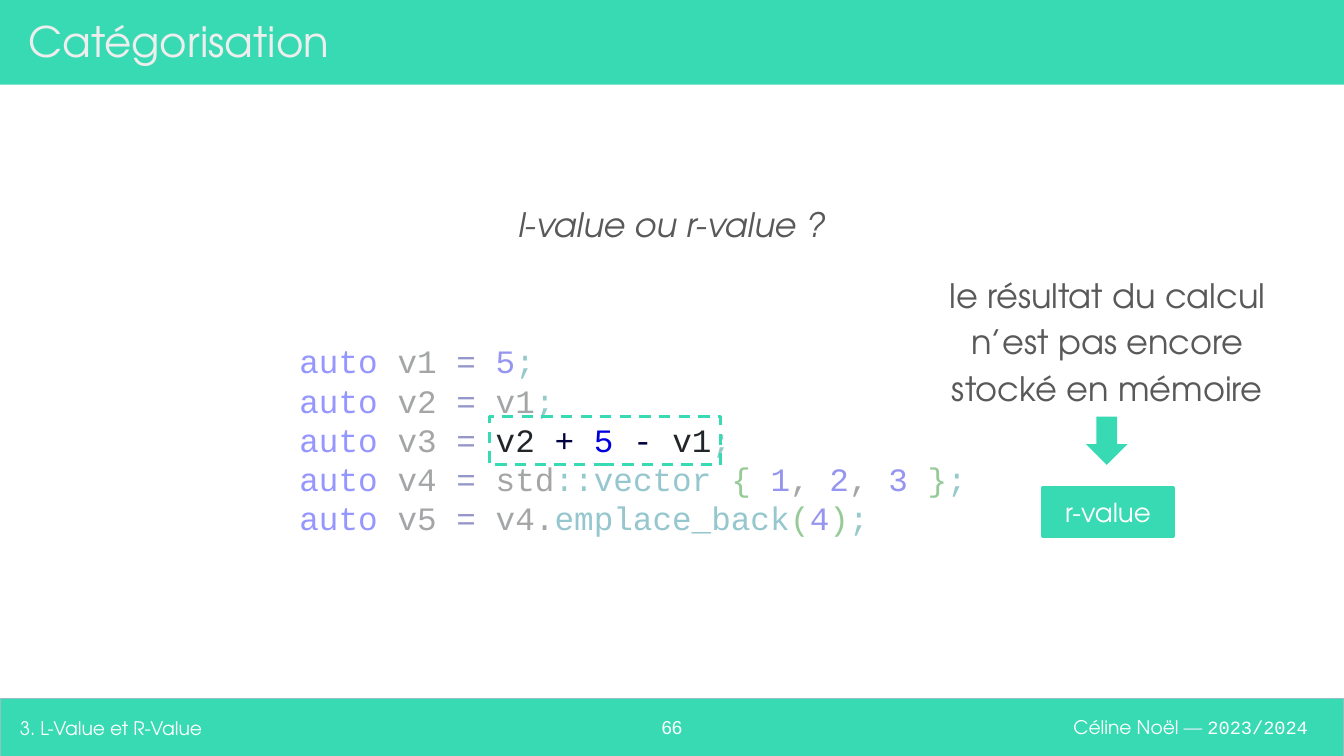
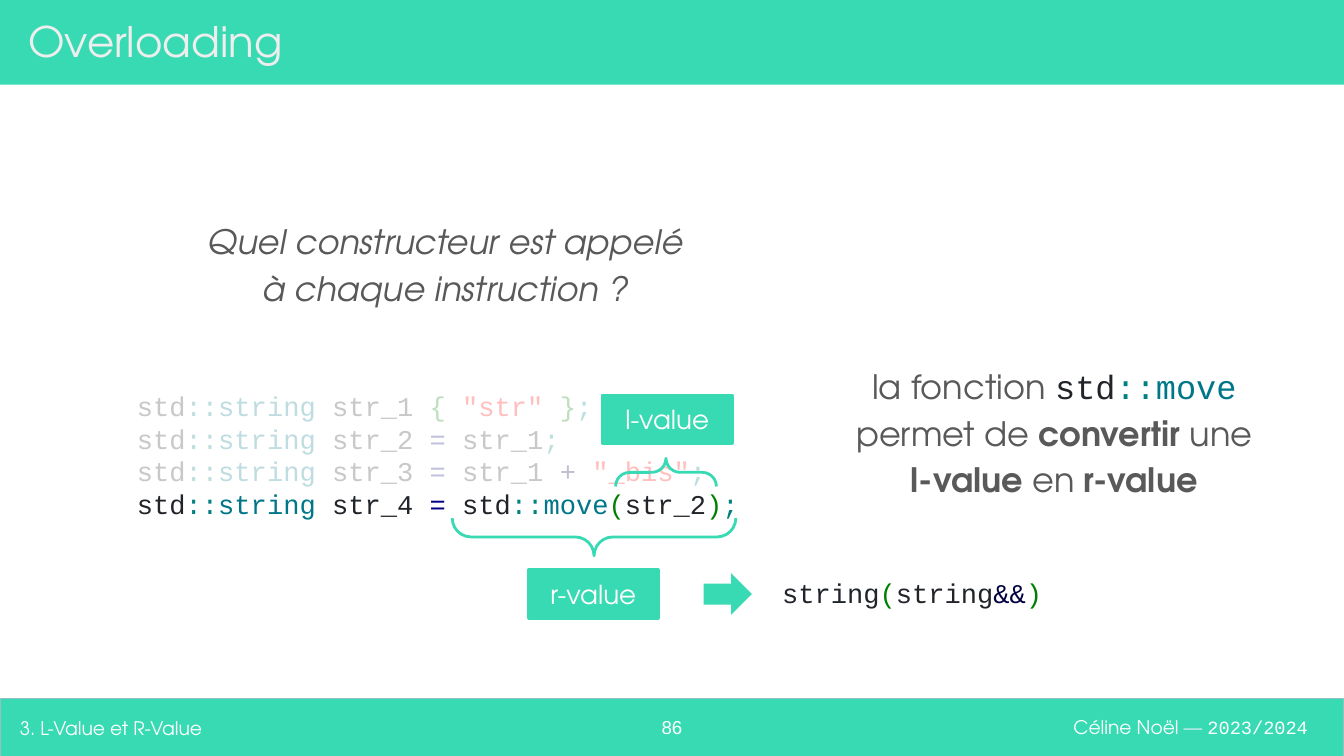
from lxml.etree import SubElement
from pptx import Presentation
from pptx.dml.color import RGBColor
from pptx.enum.dml import MSO_LINE
from pptx.enum.shapes import MSO_SHAPE
from pptx.enum.text import MSO_ANCHOR, MSO_AUTO_SIZE, PP_ALIGN
from pptx.oxml.ns import qn
from pptx.util import Inches, Pt

SANS = "TeX Gyre Adventor"
MONO = "Courier New"
NUMBER_FONT = "Arial"

GREEN = RGBColor(0x38, 0xDA, 0xB3)
BAND_EDGE = RGBColor(0x93, 0xC0, 0xC5)
WHITE = RGBColor(0xFF, 0xFF, 0xFF)
PALE_BLUE = RGBColor(0xE2, 0xEE, 0xFF)
TITLE_GREY = RGBColor(0xEE, 0xEE, 0xEE)
TEXT_GREY = RGBColor(0x59, 0x59, 0x59)

INK = RGBColor(0x21, 0x25, 0x29)
KEYWORD = RGBColor(0x00, 0x00, 0xFF)
ASSIGNMENT = RGBColor(0x00, 0x00, 0x80)
OPERATOR = RGBColor(0x00, 0x00, 0x40)
NUMBER = RGBColor(0x00, 0x00, 0xDD)
PUNCTUATION = RGBColor(0x00, 0x80, 0x80)
NAME = RGBColor(0x00, 0x77, 0x88)
BRACKET = RGBColor(0x00, 0x80, 0x00)
STRING = RGBColor(0xFF, 0x00, 0x00)

SYNTAX = {
    "auto": KEYWORD,
    "=": ASSIGNMENT,
    **dict.fromkeys(["+", "-", "&&"], OPERATOR),
    **dict.fromkeys("12345", NUMBER),
    **dict.fromkeys(["::", ";"], PUNCTUATION),
    **dict.fromkeys(["string", "vector", "move", "emplace_back"], NAME),
    **dict.fromkeys("{}()", BRACKET),
    **dict.fromkeys(['"str"', '"_bis"'], STRING),
}
SIGNATURE_SYNTAX = {**SYNTAX, "string": INK}

SECTION = "3. L-Value et R-Value"
LABEL_SIZE = (0.97, 0.36)
ARROW_SIZE = (0.31, 0.36)


class Deck:
    def __init__(self):
        self.presentation = Presentation()
        self.presentation.slide_width = Inches(10)
        self.presentation.slide_height = Inches(10) * 9 // 16
        self.slide = None

    def new_slide(self, layout_index, title, number):
        first = self.slide is None
        layout = self.presentation.slide_layouts[layout_index]
        self.slide = self.presentation.slides.add_slide(layout)
        if first:
            self.master_bands()
        self.placeholder(0, title, (0.11, 0.06, 9.48, 0.48), 22.5, TITLE_GREY)
        self.text([(SECTION, SANS, WHITE)], (0.05, 5.2, 4.54, 0.44), 10,
                  anchor=MSO_ANCHOR.MIDDLE)
        self.text([(number, NUMBER_FONT, WHITE)], (4.7, 5.23, 0.6, 0.36), 10,
                  PP_ALIGN.CENTER)

    def master_bands(self):
        footer = self.shape(MSO_SHAPE.RECTANGLE, (0, 5.2, 10, 0.44), GREEN, BAND_EDGE, 0.75)
        author = self.text(
            [("Céline Noël ", SANS, WHITE), ("— ", SANS, PALE_BLUE),
             ("2023/2024", MONO, WHITE)],
            (7.18, 5.19, 2.65, 0.44), 10, PP_ALIGN.RIGHT, MSO_ANCHOR.MIDDLE)
        header = self.shape(MSO_SHAPE.RECTANGLE, (0, 0, 10, 0.63), GREEN)
        tree = self.presentation.slide_master.shapes._spTree
        for shape in (footer, author, header):
            tree.append(shape._element)

    def place(self, shape, box):
        shape.left, shape.top, shape.width, shape.height = map(Inches, box)

    def prepare(self, text_frame, anchor=MSO_ANCHOR.TOP):
        text_frame.word_wrap = True
        text_frame.auto_size = MSO_AUTO_SIZE.NONE
        text_frame.vertical_anchor = anchor
        text_frame.margin_left = text_frame.margin_right = Inches(0.1)
        text_frame.margin_top = text_frame.margin_bottom = Inches(0.1)

    def format_run(self, run, font, size, colour, bold=False, italic=False):
        run.font.name = font
        run.font.size = Pt(size)
        run.font.color.rgb = colour
        run.font.bold = bold
        run.font.italic = italic

    def add_runs(self, paragraph, pieces, size):
        for text, font, colour, *bold in pieces:
            run = paragraph.add_run()
            run.text = text
            self.format_run(run, font, size, colour, *bold)

    def loosen(self, paragraph):
        paragraph.alignment = PP_ALIGN.CENTER
        paragraph.line_spacing = 1.15
        paragraph.space_before = Pt(0)
        paragraph.space_after = Pt(12)

    def placeholder(self, index, text, box, size, colour, italic=False):
        shape = self.slide.placeholders[index]
        self.place(shape, box)
        is_title = index == 0
        self.prepare(shape.text_frame, MSO_ANCHOR.MIDDLE if is_title else MSO_ANCHOR.TOP)
        shape.text_frame.text = text
        paragraph = shape.text_frame.paragraphs[0]
        if is_title:
            paragraph.alignment = PP_ALIGN.LEFT
        else:
            self.loosen(paragraph)
            properties = paragraph._p.get_or_add_pPr()
            properties.set("marL", "0")
            properties.set("indent", "0")
            SubElement(properties, qn("a:buNone"))
        for run in paragraph.runs:
            self.format_run(run, SANS, size, colour, italic=italic)
        for line_break in paragraph._p.findall(qn("a:br")):
            SubElement(line_break, qn("a:rPr")).set("sz", str(size * 100))

    def body(self, index, text, box, italic=False):
        self.placeholder(index, text, box, 18, TEXT_GREY, italic)

    def text(self, pieces, box, size, alignment=PP_ALIGN.LEFT, anchor=MSO_ANCHOR.TOP):
        shape = self.slide.shapes.add_textbox(*map(Inches, box))
        self.prepare(shape.text_frame, anchor)
        paragraph = shape.text_frame.paragraphs[0]
        paragraph.alignment = alignment
        self.add_runs(paragraph, pieces, size)
        return shape

    def explanation(self, pieces, box):
        shape = self.text(pieces, box, 18)
        self.loosen(shape.text_frame.paragraphs[0])

    def code(self, lines, box, size, syntax=SYNTAX):
        shape = self.slide.shapes.add_textbox(*map(Inches, box))
        text_frame = shape.text_frame
        self.prepare(text_frame)
        for position, line in enumerate(lines):
            paragraph = text_frame.add_paragraph() if position else text_frame.paragraphs[0]
            pieces = [(token, MONO, syntax.get(token.strip(), INK))
                      for token in line.split("|")]
            self.add_runs(paragraph, pieces, size)

    def shape(self, kind, box, fill=None, line=None, line_width=1.5):
        shape = self.slide.shapes.add_shape(kind, *map(Inches, box))
        shape.shadow.inherit = False
        if fill is None:
            shape.fill.background()
        else:
            shape.fill.solid()
            shape.fill.fore_color.rgb = fill
        if line is None:
            shape.line.fill.background()
        else:
            shape.line.color.rgb = line
            shape.line.width = Pt(line_width)
        return shape

    def veil(self, box, opacity):
        shape = self.shape(MSO_SHAPE.RECTANGLE, box, WHITE)
        colour = shape._element.spPr.find(qn("a:solidFill")).find(qn("a:srgbClr"))
        SubElement(colour, qn("a:alpha")).set("val", str(opacity * 1000))

    def label(self, text, left, top):
        shape = self.shape(MSO_SHAPE.FLOWCHART_PROCESS, (left, top, *LABEL_SIZE), GREEN, GREEN)
        self.prepare(shape.text_frame, MSO_ANCHOR.MIDDLE)
        shape.text_frame.text = text
        paragraph = shape.text_frame.paragraphs[0]
        paragraph.alignment = PP_ALIGN.CENTER
        self.format_run(paragraph.runs[0], SANS, 14, WHITE)

    def arrow(self, left, top, rotation=0):
        shape = self.shape(MSO_SHAPE.DOWN_ARROW, (left, top, *ARROW_SIZE), GREEN)
        shape.rotation = rotation

    def brace(self, box, rotation):
        shape = self.shape(MSO_SHAPE.LEFT_BRACE, box, line=GREEN)
        shape.adjustments[0] = shape.adjustments[1] = 0.5
        shape.rotation = rotation

    def dashed_frame(self, box):
        shape = self.shape(MSO_SHAPE.RECTANGLE, box, line=GREEN)
        shape.line.dash_style = MSO_LINE.DASH


def categorisation_slide(deck):
    deck.new_slide(3, "Catégorisation", "66")
    deck.body(1, "l-value ou r-value ?", (0.32, 1.37, 9.36, 0.59), italic=True)
    deck.code([
        "auto| v1 |=| |5|;",
        "auto| v2 |=| v1|;",
        "auto| v3 |=| v2 |+| |5| |-| v1|;",
        "auto| v4 |=| std|::|vector| |{| |1|, |2|, |3| |}|;",
        "auto| v5 |=| v4.|emplace_back|(|4|)|;",
    ], (2.13, 2.44, 5.24, 1.67), 17.5)
    for box in [(2.13, 3.16, 1.45, 0.29), (2.17, 3.43, 5.17, 0.67),
                (5.3, 3.12, 0.24, 0.31), (2.19, 2.52, 1.91, 0.6)]:
        deck.veil(box, 59)
    deck.arrow(8.08, 3.1)
    deck.label("r-value", 7.76, 3.63)
    deck.dashed_frame((3.64, 3.1, 1.72, 0.36))
    deck.body(2, "le résultat du calcul n’est pas encore stocké en mémoire",
              (6.76, 1.9, 2.96, 1.33))


def overloading_slide(deck):
    deck.new_slide(1, "Overloading", "86")
    deck.code([
        'std|::|string| str_1 |{ |"str" |}|;',
        "std|::|string| str_2 |=| str_1|;",
        'std|::|string| str_3 |=| str_1 |+ |"_bis"|;',
        "std|::|string| str_4 |=| std|::|move|(|str_2|)|;",
    ], (0.92, 2.8, 4.78, 1.18), 14.5)
    deck.body(1, "Quel constructeur est appelé\và chaque instruction ?",
              (0.32, 1.5, 5.99, 0.96), italic=True)
    deck.veil((0.88, 2.81, 4.65, 0.85), 75)
    deck.label("r-value", 3.93, 4.24)
    deck.brace((4.28, 2.94, 0.28, 2.11), 270)
    deck.code(["string|(|string|&&|)"], (5.72, 4.19, 2.75, 0.45), 14.5, SIGNATURE_SYNTAX)
    deck.arrow(5.26, 4.24, 270)
    deck.explanation([
        ("la fonction ", SANS, TEXT_GREY),
        ("std", MONO, INK),
        ("::", MONO, PUNCTUATION),
        ("move", MONO, NAME),
        (" permet de ", SANS, TEXT_GREY),
        ("convertir", SANS, TEXT_GREY, True),
        (" une ", SANS, TEXT_GREY),
        ("l-value", SANS, TEXT_GREY, True),
        (" en ", SANS, TEXT_GREY),
        ("r-value", SANS, TEXT_GREY, True),
    ], (6.18, 2.58, 3.33, 1.2))
    deck.label("l-value", 4.48, 2.94)
    deck.brace((4.85, 3.14, 0.21, 0.75), 90)


def main():
    deck = Deck()
    categorisation_slide(deck)
    overloading_slide(deck)
    deck.presentation.save("out.pptx")


if __name__ == "__main__":
    main()
